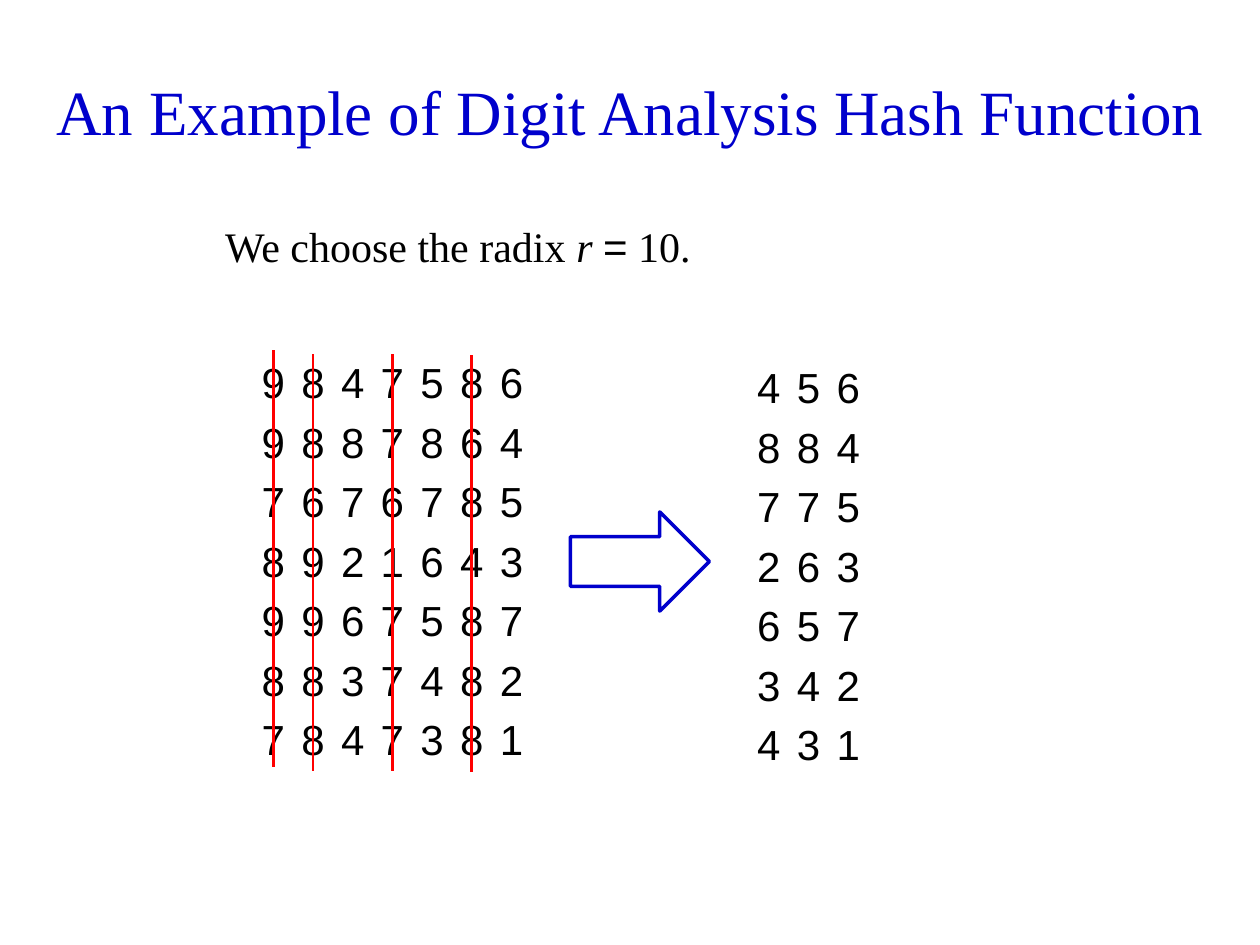
from dataclasses import dataclass

from lxml import etree
from pptx import Presentation, util as u
from pptx.dml.color import RGBColor
from pptx.enum import shapes, text
from pptx.oxml import ns


@dataclass(frozen=True)
class Theme:
    blue: str = "0000CC"
    red: str = "FF0000"
    black: str = "000000"
    white: str = "FFFFFF"
    serif: str = "Times New Roman"
    sans: str = "Arial"
    head: int = 36
    tail: int = 44
    body: int = 24
    edge: float = 2
    rule: float = 1.5


class Deck:
    """Draws each kind of element on the current slide in one theme."""

    def __init__(self, theme, wide, high):
        self.theme = theme
        self.prs = Presentation()
        self.prs.slide_width, self.prs.slide_height = u.Cm(wide), u.Cm(high)
        self.slide = self.prs.slides.add_slide(self.prs.slide_layouts[6])

    def style(self, run, size, face, color, slant=False):
        font = run.font
        font.size, font.name, font.italic = u.Pt(size), face, slant
        font.color.rgb = RGBColor.from_string(color)

    def label(self, box, parts, align, anchor, before=0):
        frame = self.slide.shapes.add_textbox(*map(u.Cm, box)).text_frame
        frame.word_wrap = True
        frame.vertical_anchor = anchor
        par = frame.paragraphs[0]
        par.alignment, par.space_before = align, u.Pt(before)
        for words, *look in parts:
            run = par.add_run()
            run.text = words
            self.style(run, *look)

    def grid(self, left, top, rows, wide, high):
        count = len(rows[0])
        size = map(u.Cm, (left, top, wide * count, high * len(rows)))
        table = self.slide.shapes.add_table(len(rows), count, *size).table
        table.first_row = table.horz_banding = False
        for col in table.columns:
            col.width = u.Cm(wide)
        for row, digits in zip(table.rows, rows):
            row.height = u.Cm(high)
            for cell, digit in zip(row.cells, digits):
                self.fill(cell, digit)

    def fill(self, cell, digit):
        cell.fill.background()
        cell.margin_left = cell.margin_right = 0
        cell.margin_top = cell.margin_bottom = 0
        cell.vertical_anchor = text.MSO_ANCHOR.MIDDLE
        par = cell.text_frame.paragraphs[0]
        par.text = digit
        par.alignment = text.PP_ALIGN.CENTER
        self.style(par.runs[0], self.theme.body, self.theme.sans, self.theme.black)

    def arrow(self, box):
        kind = shapes.MSO_SHAPE.RIGHT_ARROW
        shape = self.slide.shapes.add_shape(kind, *map(u.Cm, box))
        shape.shadow.inherit = False
        shape.fill.solid()
        shape.fill.fore_color.rgb = RGBColor.from_string(self.theme.white)
        shape.line.color.rgb = RGBColor.from_string(self.theme.blue)
        shape.line.width = u.Pt(self.theme.edge)

    def strike(self, x, top, high):
        ends = map(u.Cm, (x, top, x, top + high))
        line = self.slide.shapes.add_connector(shapes.MSO_CONNECTOR.STRAIGHT, *ends)
        line.line.color.rgb = RGBColor.from_string(self.theme.red)
        line.line.width = u.Pt(self.theme.rule)
        etree.SubElement(line._element.spPr, ns.qn("a:effectLst"))


def main():
    theme = Theme()
    deck = Deck(theme, 25.4, 19.05)
    keys = ["9847586", "9887864", "7676785", "8921643", "9967587", "8837482", "7847381"]
    tops = {0: 7.06, 1: 7.14, 3: 7.14, 5: 7.16}
    kept = ["".join(d for i, d in enumerate(key) if i not in tops) for key in keys]
    left, wide, high = 5.11, 0.8, 1.2

    title = [
        ("An Example of Digit Analysis Hash Function", theme.head, theme.serif, theme.blue),
        (" ", theme.tail, theme.serif, theme.blue),
    ]
    deck.label((0.71, 0.71, 24, 2.79), title, text.PP_ALIGN.CENTER, text.MSO_ANCHOR.MIDDLE)
    note = [
        ("We choose the radix ", theme.body, theme.serif, theme.black),
        ("r ", theme.body, theme.serif, theme.black, True),
        ("=", theme.body, theme.sans, theme.black),
        (" 10.", theme.body, theme.serif, theme.black),
    ]
    deck.label((4.29, 4.32, 10, 1.6), note, text.PP_ALIGN.LEFT, text.MSO_ANCHOR.TOP, 3)

    deck.grid(left, 7.14, keys, wide, high)
    deck.grid(15.1, 7.24, kept, wide, high)
    deck.arrow((11.5, 10.32, 2.8, 2))
    for col, top in tops.items():
        deck.strike(left + wide * (col + 0.5), top, high * len(keys))
    deck.prs.save("out.pptx")


if __name__ == "__main__":
    main()
